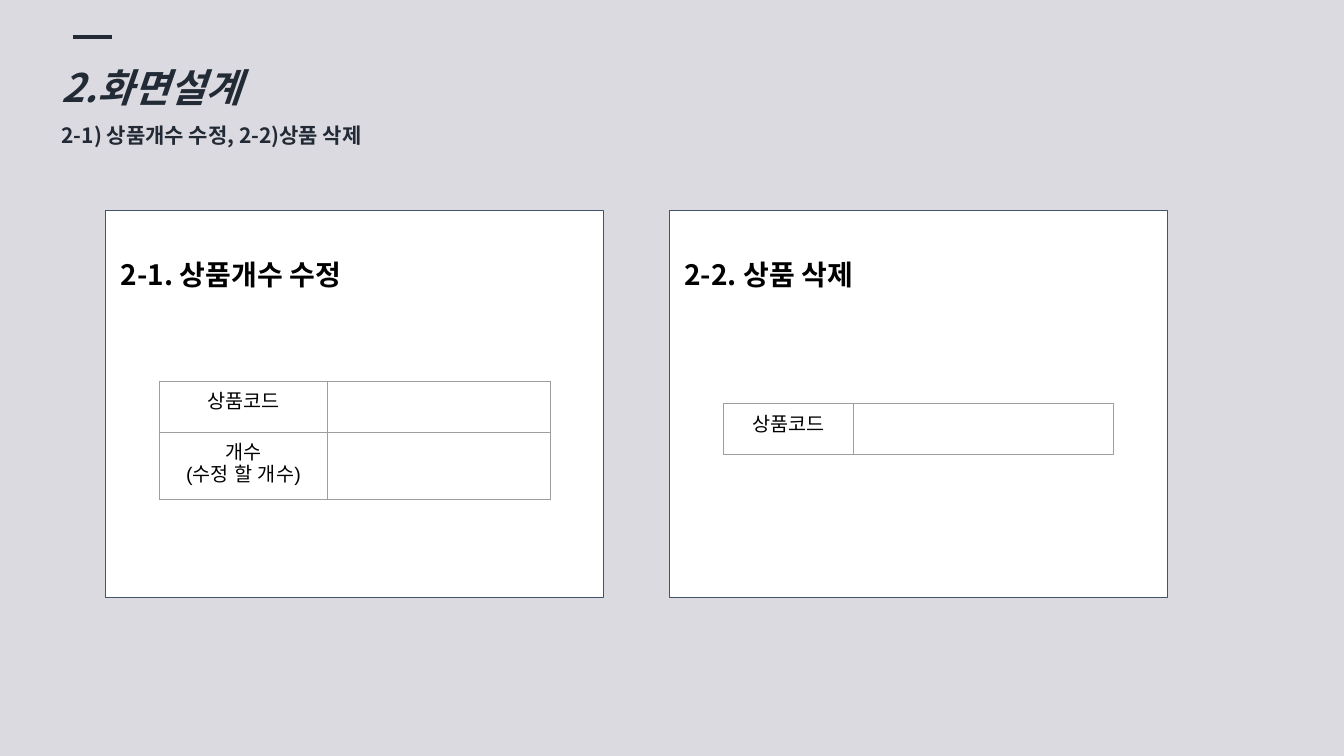
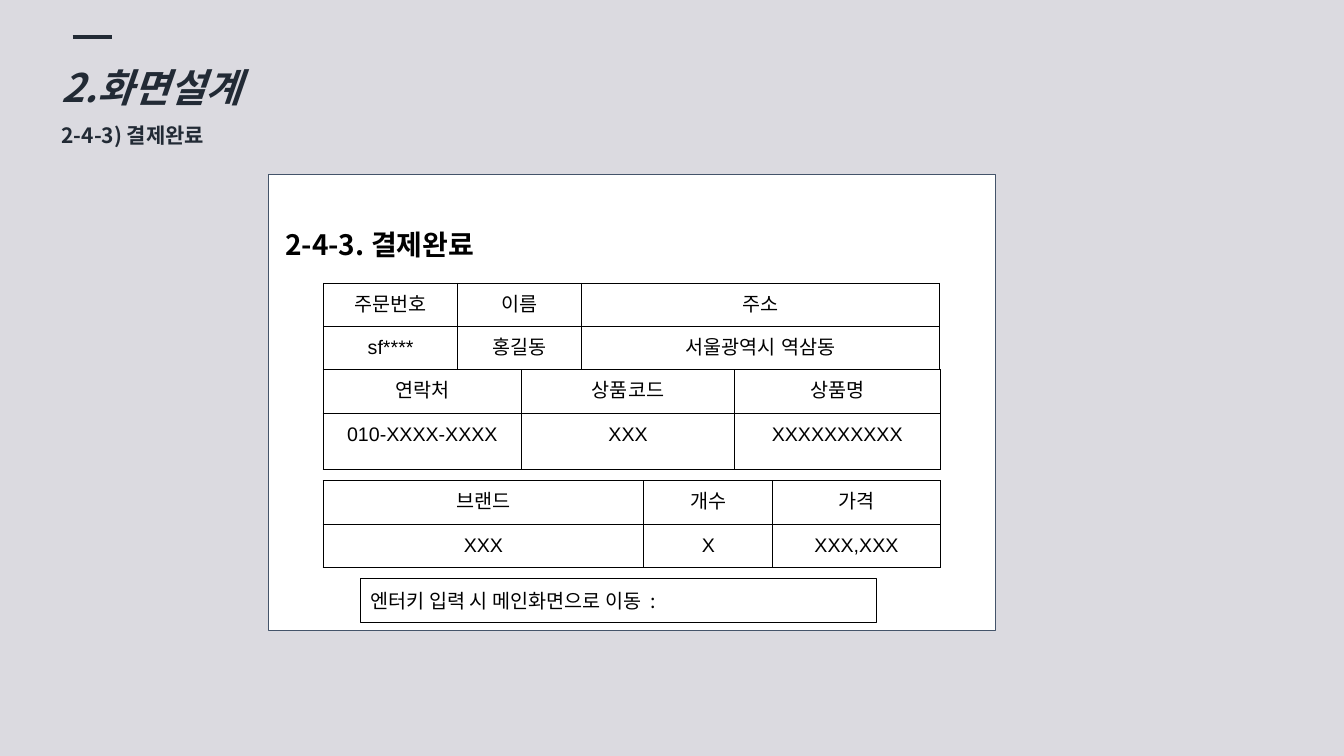
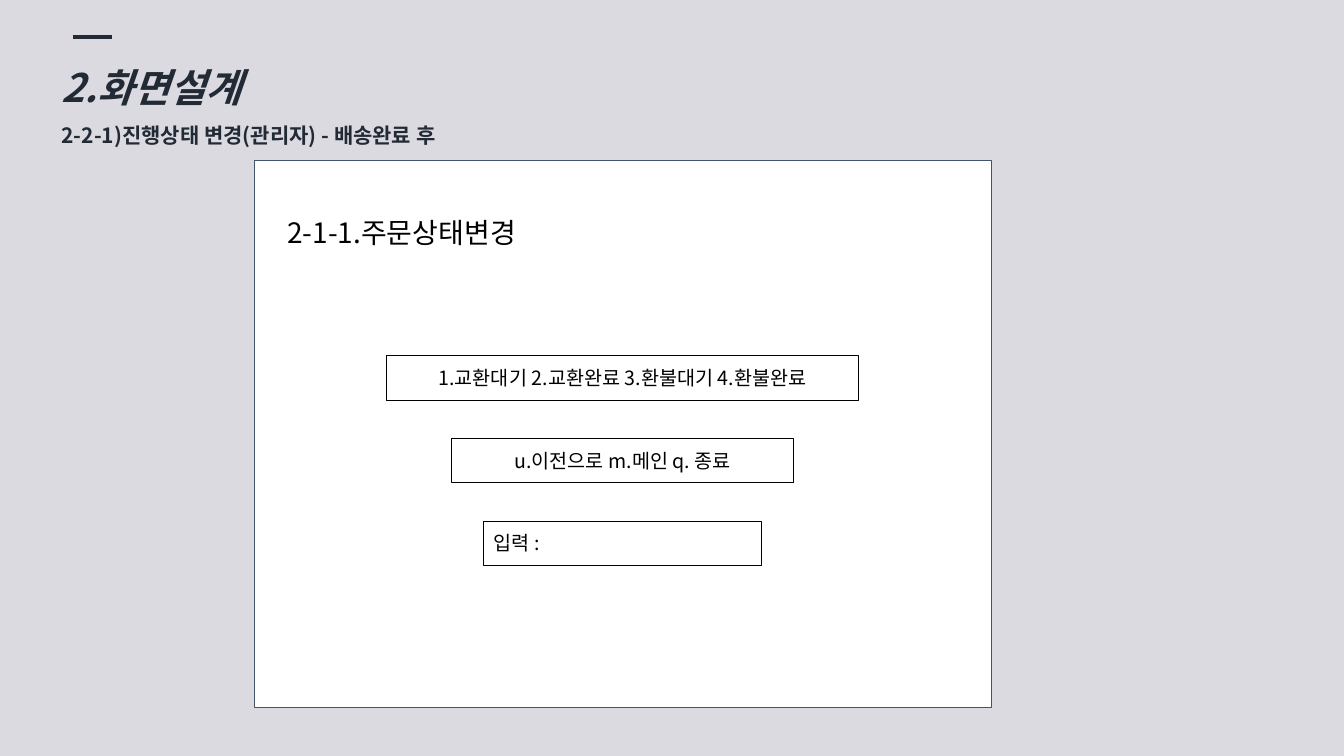
from dataclasses import dataclass

from lxml import etree
from pptx import Presentation
from pptx import util as u
from pptx.dml.color import RGBColor
from pptx.enum import shapes, text
from pptx.oxml import ns


@dataclass(frozen=True)
class Theme:
    page: str = "DBDAE0"
    panel: str = "FFFFFF"
    panel_edge: str = "44546A"
    title: str = "222A35"
    ink: str = "000000"
    grid: str = "9E9E9E"
    font: str = "Noto Sans CJK KR"
    table_font: str = "Arial"
    title_size: int = 28
    subtitle_size: int = 15
    heading_size: int = 20
    text_size: int = 14
    hairline: float = 0.75
    row: float = 0.43
    field: float = 0.44


THEME = Theme()
LEFT, CENTER = text.PP_ALIGN.LEFT, text.PP_ALIGN.CENTER


@dataclass(frozen=True)
class Box:
    left: float
    top: float
    width: float
    height: float

    def inches(self):
        return [u.Inches(n) for n in (self.left, self.top, self.width, self.height)]

    def inside(self, x, y, width, height):
        return Box(self.left + x, self.top + y, width, height)

    def centered(self, y, width, height):
        return self.inside((self.width - width) / 2, y, width, height)


def color(code):
    return RGBColor.from_string(code)


# Text
def add_span(para, words, size, ink=THEME.ink, font=THEME.font, bold=False, italic=False):
    span = para.add_run()
    span.text = words
    style = span.font
    style.name, style.size = font, u.Pt(size)
    style.bold, style.italic = bold, italic
    style.color.rgb = color(ink)
    east_asian = etree.SubElement(span._r.get_or_add_rPr(), ns.qn("a:ea"))
    east_asian.set("typeface", font)


def set_frame(frame, side=0.1, edge=0.1):
    frame.word_wrap = True
    frame.auto_size = text.MSO_AUTO_SIZE.NONE
    frame.vertical_anchor = text.MSO_ANCHOR.TOP
    frame.margin_left = frame.margin_right = u.Inches(side)
    frame.margin_top = frame.margin_bottom = u.Inches(edge)


# Page with its accent line and two-line title
def add_page(deck, subtitle, title_width=4.3):
    page = deck.slides.add_slide(deck.slide_layouts[5])
    accent = page.shapes.add_connector(
        shapes.MSO_CONNECTOR.STRAIGHT,
        u.Inches(0.72), u.Inches(0.37), u.Inches(1.11), u.Inches(0.37))
    accent.line.color.rgb = color(THEME.title)
    accent.line.width = u.Pt(3)
    etree.SubElement(accent._element.spPr, ns.qn("a:effectLst"))

    title = page.shapes.title
    title.left, title.top, title.width, title.height = Box(0.51, 0.34, title_width, 1.14).inches()
    frame = title.text_frame
    set_frame(frame, edge=0.05)
    lines = (("2.화면설계", THEME.title_size, True), (subtitle, THEME.subtitle_size, False))
    for index, (words, size, italic) in enumerate(lines):
        para = frame.add_paragraph() if index else frame.paragraphs[0]
        para.alignment, para.line_spacing = LEFT, 1.5
        para.space_before = u.Pt(0)
        add_span(para, words, size, THEME.title, bold=True, italic=italic)
    return page


# White screen mock-up with a heading
def add_panel(page, box, heading, x, y, width, bold=True):
    panel = page.shapes.add_shape(shapes.MSO_SHAPE.RECTANGLE, *box.inches())
    panel.shadow.inherit = False
    panel.fill.solid()
    panel.fill.fore_color.rgb = color(THEME.panel)
    panel.line.color.rgb = color(THEME.panel_edge)
    panel.line.width = u.Pt(THEME.hairline)
    label = page.shapes.add_textbox(*box.inside(x, y, width, 0.54).inches())
    set_frame(label.text_frame)
    add_span(label.text_frame.paragraphs[0], heading, THEME.heading_size, bold=bold)


# Outlined line of console text
def add_field(page, box, words, align=LEFT):
    field = page.shapes.add_shape(shapes.MSO_SHAPE.RECTANGLE, *box.inches())
    field.shadow.inherit = False
    field.fill.background()
    field.line.color.rgb = color(THEME.ink)
    field.line.width = u.Pt(THEME.hairline)
    set_frame(field.text_frame)
    para = field.text_frame.paragraphs[0]
    para.alignment = align
    add_span(para, words, THEME.text_size)


# Tables
def set_borders(cell, ink):
    properties = cell._tc.get_or_add_tcPr()
    for index, side in enumerate(("lnL", "lnR", "lnT", "lnB")):
        edge = etree.Element(ns.qn("a:" + side), w=str(u.Pt(THEME.hairline)))
        fill = etree.SubElement(edge, ns.qn("a:solidFill"))
        etree.SubElement(fill, ns.qn("a:srgbClr"), val=ink)
        properties.insert(index, edge)


def add_grid(page, panel, y, columns, rows, cells, ink=THEME.ink):
    box = panel.centered(y, sum(columns), sum(rows))
    table = page.shapes.add_table(len(rows), len(columns), *box.inches()).table
    table.first_row = table.horz_banding = False
    for column, width in zip(table.columns, columns):
        column.width = u.Inches(width)
    for row, height in zip(table.rows, rows):
        row.height = u.Inches(height)
    for row, entries in zip(table.rows, cells):
        for cell, words in zip(row.cells, entries):
            cell.fill.background()
            set_borders(cell, ink)
            cell.margin_left = cell.margin_right = u.Inches(0.1)
            cell.margin_top = cell.margin_bottom = u.Inches(0.1)
            for index, line in enumerate(words.splitlines()):
                frame = cell.text_frame
                para = frame.add_paragraph() if index else frame.paragraphs[0]
                para.alignment = CENTER
                add_span(para, line, THEME.text_size, font=THEME.table_font)
    return table


def add_form(page, panel, heading, y, columns, rows, labels):
    """A panel with labels on the left and a wide empty entry cell on the right."""
    add_panel(page, panel, heading, 0.05, 0.36, 3.04)
    cells = [(label, "", "") for label in labels]
    table = add_grid(page, panel, y, columns, rows, cells, THEME.grid)
    for index in range(len(rows)):
        table.cell(index, 1).merge(table.cell(index, 2))


# Slides
def product_forms(deck):
    page = add_page(deck, "2-1) 상품개수 수정, 2-2)상품 삭제")
    edit = Box(1.05, 2.09, 4.94, 3.84)
    remove = edit.inside(5.59, 0, edit.width, edit.height)
    add_form(page, edit, "2-1. 상품개수 수정", 1.69, (1.67, 0.92, 1.29),
             (THEME.row, 0.67), ("상품코드", "개수\n(수정 할 개수)"))
    add_form(page, remove, "2-2. 상품 삭제", 1.91, (1.29, 1.29, 1.29),
             (THEME.row,), ("상품코드",))


def payment_done(deck):
    page = add_page(deck, "2-4-3) 결제완료")
    panel = Box(2.66, 1.73, 7.21, 4.53)
    add_panel(page, panel, "2-4-3. 결제완료", 0.07, 0.43, 5.3)
    add_field(page, panel.inside(0.92, 4.01, 5.11, THEME.field),
              "엔터키 입력 시 메인화면으로 이동  :")
    grids = (
        (1.08, (1.33, 1.23, 3.55), THEME.row,
         (("주문번호", "이름", "주소"), ("sf****", "홍길동", "서울광역시 역삼동"))),
        (1.94, (1.97, 2.11, 2.04), 0.56,
         (("연락처", "상품코드", "상품명"), ("010-XXXX-XXXX", "XXX", "XXXXXXXXXX"))),
        (3.04, (3.18, 1.28, 1.66), THEME.row,
         (("브랜드", "개수", "가격"), ("XXX", "X", "XXX,XXX"))),
    )
    for y, columns, last_row, cells in grids:
        add_grid(page, panel, y, columns, (THEME.row, last_row), cells)


def order_status(deck):
    page = add_page(deck, "2-2-1)진행상태 변경(관리자) - 배송완료 후", 4.81)
    panel = Box(2.52, 1.59, 7.31, 5.43)
    add_panel(page, panel, "2-1-1.주문상태변경", 0.23, 0.45, 4.5, bold=False)
    fields = (
        (4.68, "1.교환대기 2.교환완료 3.환불대기 4.환불완료", CENTER),
        (3.39, "u.이전으로 m.메인 q. 종료", CENTER),
        (2.75, "입력 :", LEFT),
    )
    for index, (width, words, align) in enumerate(fields):
        box = panel.centered(1.94 + 0.82 * index, width, THEME.field)
        add_field(page, box, words, align)


def main():
    deck = Presentation()
    deck.slide_width, deck.slide_height = u.Inches(13.33), u.Inches(7.5)
    backdrop = deck.slide_master.background.fill
    backdrop.solid()
    backdrop.fore_color.rgb = color(THEME.page)
    for build in (product_forms, payment_done, order_status):
        build(deck)
    deck.save("out.pptx")


if __name__ == "__main__":
    main()
